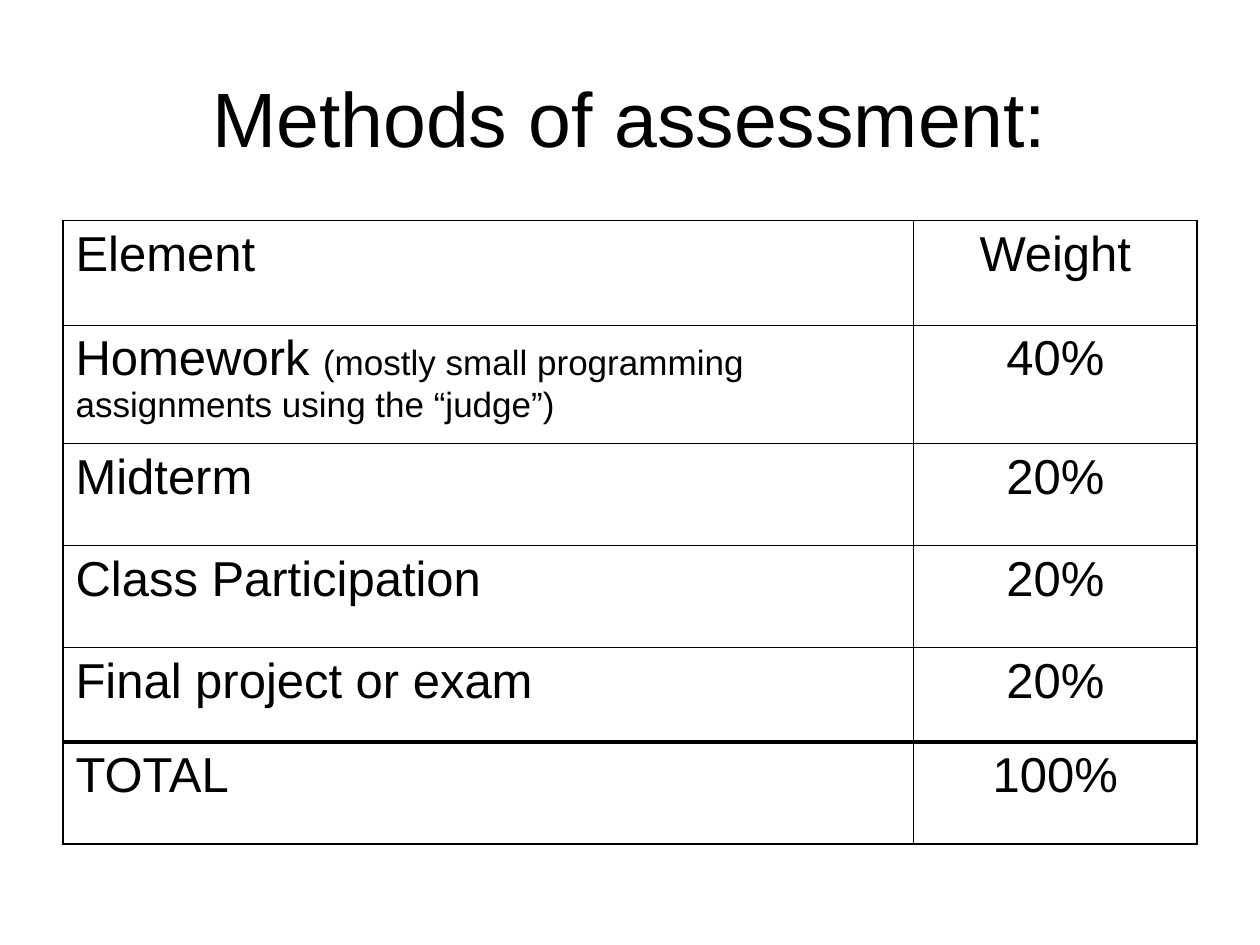
from lxml import etree
from pptx import Presentation
from pptx.dml.color import RGBColor
from pptx.enum.text import MSO_ANCHOR, PP_ALIGN
from pptx.oxml.ns import qn
from pptx.util import Inches, Pt

LEFT, MID = PP_ALIGN.LEFT, PP_ALIGN.CENTER
CENTER = MSO_ANCHOR.MIDDLE
INK, FONT = "000000", "Arial"
THIN, EDGE, THICK = 0.45, 1.08, 2.21

TITLE = "Methods of assessment:"
ROWS = [
    ("Element", "", "Weight"),
    ("Homework ", "(mostly small programming assignments using the “judge”)", "40%"),
    ("Midterm", "", "20%"),
    ("Class Participation", "", "20%"),
    ("Final project or exam", "", "20%"),
    ("TOTAL", "", "100%"),
]
TALL = [0.83, 0.94, 0.81, 0.81, 0.75, 0.81]
WIDE = [6.75, 2.25]
ACROSS = [EDGE, THIN, THIN, THIN, THIN, THICK, EDGE]
DOWN = [EDGE, THIN, EDGE]


def paint(font, size):
    font.name, font.size = FONT, Pt(size)
    font.color.rgb = RGBColor.from_string(INK)


def rule(cell, side, width):
    line = etree.SubElement(cell._tc.get_or_add_tcPr(), qn(f"a:ln{side}"), w=str(Pt(width)))
    fill = etree.SubElement(line, qn("a:solidFill"))
    etree.SubElement(fill, qn("a:srgbClr"), val=INK)


def write(cell, text, note, align):
    para = cell.text_frame.paragraphs[0]
    para.alignment = align
    para.add_run().text = text
    paint(para.font, 28)
    if note:
        run = para.add_run()
        run.text = note
        run.font.size = Pt(20)


def add_title(slide):
    title = slide.shapes.title
    title.left, title.top = Inches(0.5), Inches(0.3)
    title.width, title.height = Inches(9), Inches(1.25)
    title.text_frame.text = TITLE
    title.text_frame.vertical_anchor = CENTER
    para = title.text_frame.paragraphs[0]
    para.alignment = MID
    paint(para.font, 44)


def add_grid(slide):
    table = slide.shapes.add_table(
        len(ROWS), len(WIDE), Inches(0.5), Inches(1.75),
        Inches(sum(WIDE)), Inches(sum(TALL))).table
    table.first_row = table.horz_banding = False
    for col, width in zip(table.columns, WIDE):
        col.width = Inches(width)
    for r, (name, note, weight) in enumerate(ROWS):
        table.rows[r].height = Inches(TALL[r])
        parts = [(name, note, LEFT), (weight, "", MID)]
        for c, part in enumerate(parts):
            cell = table.cell(r, c)
            write(cell, *part)
            sides = zip("LRTB", (DOWN[c], DOWN[c + 1], ACROSS[r], ACROSS[r + 1]))
            for side, width in sides:
                rule(cell, side, width)
            cell.fill.background()


def main():
    """Build the assessment slide and save it."""
    deck = Presentation()
    deck.slide_width, deck.slide_height = Inches(10), Inches(7.5)
    slide = deck.slides.add_slide(deck.slide_layouts[5])
    add_title(slide)
    add_grid(slide)
    deck.save("out.pptx")


if __name__ == "__main__":
    main()
